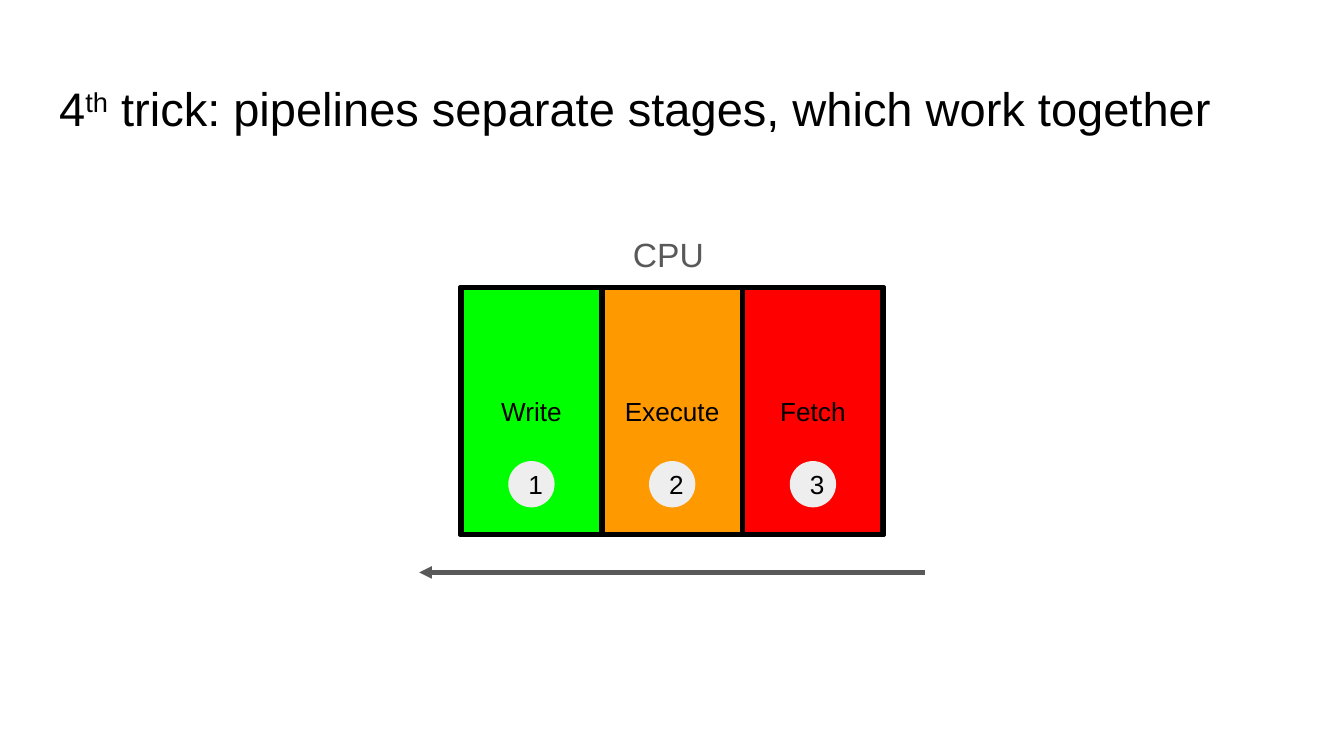
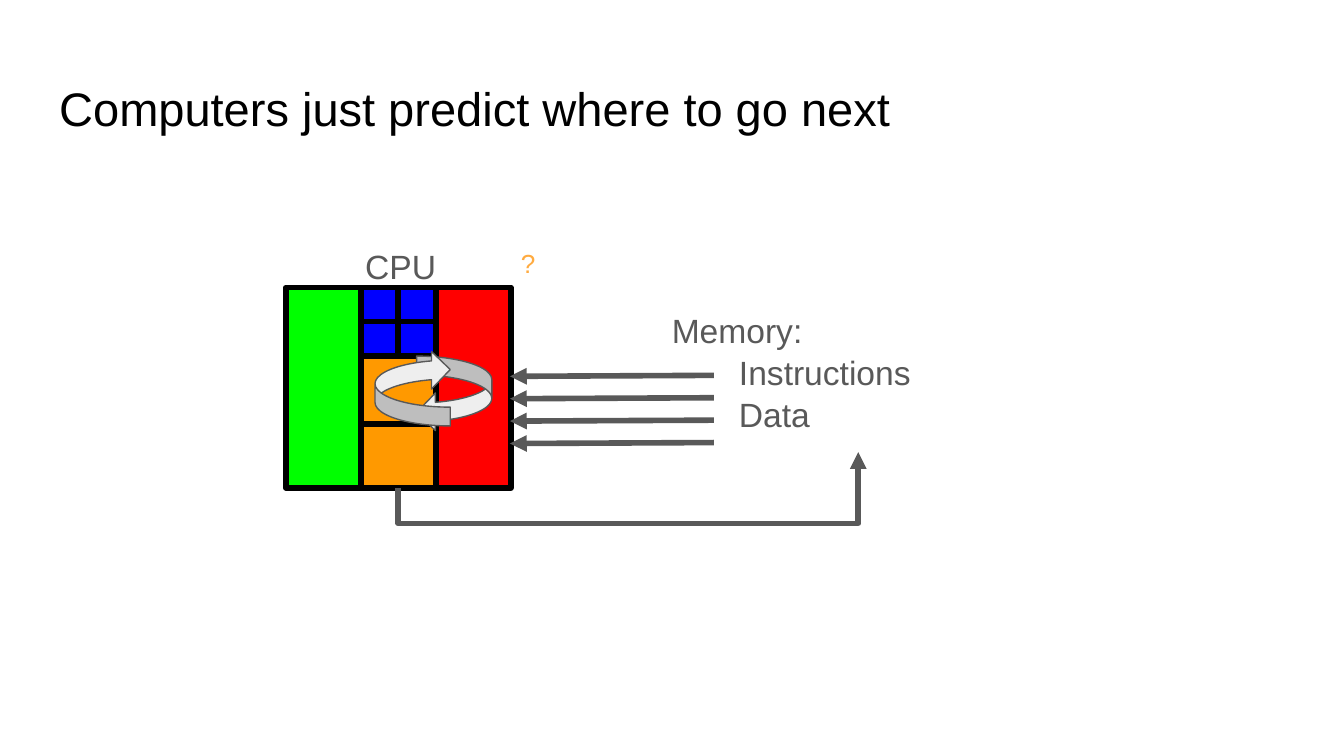
from lxml import etree
from pptx import Presentation
from pptx.dml.color import RGBColor
from pptx.enum.shapes import MSO_CONNECTOR, MSO_SHAPE
from pptx.enum.text import MSO_ANCHOR, MSO_AUTO_SIZE, PP_ALIGN
from pptx.oxml.ns import qn
from pptx.util import Pt

RECT, OVAL = MSO_SHAPE.RECTANGLE, MSO_SHAPE.OVAL
CURVED = MSO_SHAPE.CURVED_LEFT_ARROW
LINE, ELBOW = MSO_CONNECTOR.STRAIGHT, MSO_CONNECTOR.ELBOW
TOP, MIDDLE = MSO_ANCHOR.TOP, MSO_ANCHOR.MIDDLE
LEFT, CENTER = PP_ALIGN.LEFT, PP_ALIGN.CENTER
BOTTOM_SITE = 2

BLACK = RGBColor(0x00, 0x00, 0x00)
GRAY = RGBColor(0x59, 0x59, 0x59)
PALE = RGBColor(0xEE, 0xEE, 0xEE)
RED = RGBColor(0xFF, 0x00, 0x00)
ORANGE = RGBColor(0xFF, 0x99, 0x00)
GREEN = RGBColor(0x00, 0xFF, 0x00)
BLUE = RGBColor(0x00, 0x00, 0xFF)
AMBER = RGBColor(0xFF, 0xAB, 0x40)

FONT = "Arial"
TITLE_BOX = (24.5, 35.3, 671, 45.4)
INSET = Pt(7.2)
FRAME = {
    "word_wrap": True,
    "auto_size": MSO_AUTO_SIZE.NONE,
    "margin_left": INSET,
    "margin_right": INSET,
    "margin_top": INSET,
    "margin_bottom": INSET,
}


def apply(target, values):
    """Set each named attribute on the target."""
    for name, value in values.items():
        setattr(target, name, value)


def place(shape, left, top, width, height):
    """Move and size a shape, in points."""
    names = ("left", "top", "width", "height")
    apply(shape, dict(zip(names, map(Pt, (left, top, width, height)))))


def style(run, size, color):
    """Give a run its font, size and colour."""
    apply(run.font, {"name": FONT, "size": Pt(size), "bold": False})
    run.font.color.rgb = color


def write(shape, lines, size, color, anchor=TOP, align=LEFT, space=None):
    """Fill a shape with one paragraph per line, each a list of runs."""
    frame = shape.text_frame
    apply(frame, {**FRAME, "vertical_anchor": anchor})
    for i, parts in enumerate(lines):
        para = frame.add_paragraph() if i else frame.paragraphs[0]
        apply(para, {"alignment": align, "line_spacing": space})
        for part in parts:
            run = para.add_run()
            run.text = part
            style(run, size, color)
    return frame


def start(deck, parts):
    """Add a slide with its title and return both."""
    slide = deck.slides.add_slide(deck.slide_layouts[5])
    title = slide.shapes.title
    place(title, *TITLE_BOX)
    write(title, [parts], 25.2, BLACK)
    return slide, title


def draw(slide, kind, box, fill=None, line=BLACK, width=3):
    """Add a preset shape; None leaves its fill or line out."""
    shape = slide.shapes.add_shape(kind, *map(Pt, box))
    shape.shadow.inherit = False
    if fill is None:
        shape.fill.background()
    else:
        shape.fill.solid()
        shape.fill.fore_color.rgb = fill
    if line is None:
        shape.line.fill.background()
    else:
        shape.line.color.rgb = line
        shape.line.width = Pt(width)
    return shape


def label(slide, box, lines, size=18, color=GRAY, **kind):
    """Add a text box."""
    shape = slide.shapes.add_textbox(*map(Pt, box))
    write(shape, [[line] for line in lines], size, color, **kind)
    return shape


def link(slide, kind, ends, width, tip):
    """Add a gray connector with an arrowhead at the named end."""
    wire = slide.shapes.add_connector(kind, *map(Pt, ends))
    wire.line.color.rgb = GRAY
    wire.line.width = Pt(width)
    etree.SubElement(wire.line._get_or_add_ln(), qn(tip)).set("type", "triangle")
    etree.SubElement(wire._element.spPr, qn("a:effectLst"))
    return wire


def loop(slide, source, target, ends, drop):
    """Join two bottom sides with an elbow that dips by drop points."""
    x1, y1, x2, y2 = ends
    wire = link(slide, ELBOW, ends, 3, "a:tailEnd")
    wire.begin_connect(source, BOTTOM_SITE)
    wire.end_connect(target, BOTTOM_SITE)
    wide, high = y1 - y2, x2 - x1
    place(wire, (x1 + x2 - wide) / 2, (y1 + y2 - high) / 2, wide, high)
    props = wire._element.spPr
    form = props.find(qn("a:xfrm"))
    for name, value in {"rot": "16200000", "flipH": "0", "flipV": "0"}.items():
        form.set(name, value)
    geom = props.find(qn("a:prstGeom"))
    guides = geom.find(qn("a:avLst"))
    if guides is None:
        guides = etree.SubElement(geom, qn("a:avLst"))
    guide = etree.SubElement(guides, qn("a:gd"))
    guide.set("name", "adj1")
    guide.set("fmla", f"val {round(-drop / wide * 100000)}")


def outline(run, color, width):
    """Give the letters of a run a line."""
    props = run._r.get_or_add_rPr()
    edge = etree.Element(qn("a:ln"), w=str(Pt(width)))
    fill = etree.SubElement(edge, qn("a:solidFill"))
    etree.SubElement(fill, qn("a:srgbClr")).set("val", str(color))
    props.insert(0, edge)


def stages(deck):
    """Build the slide of the three pipeline stages."""
    parts = ["4", "th", " trick: pipelines separate stages, which work together"]
    slide, title = start(deck, parts)
    power = title.text_frame.paragraphs[0].runs[1]
    power._r.get_or_add_rPr().set("baseline", "30000")

    left, top, wide, high, dot = 247, 154, 75.4, 132.5, 24.8
    draw(slide, RECT, (left, top, 3 * wide, high))
    steps = [("Write", GREEN), ("Execute", ORANGE), ("Fetch", RED)]
    order = list(enumerate(steps))[::-1]
    for i, (name, color) in order:
        cell = draw(slide, RECT, (left + i * wide, top, wide, high), color)
        write(cell, [[name]], 14, BLACK, MIDDLE, CENTER)
    label(slide, (332, 118, 56.2, 35.3), ["CPU"])
    for i, _ in order:
        x = left + (i + 0.5) * wide - dot / 2
        disc = draw(slide, OVAL, (x, 247, dot, dot), PALE, None)
        write(disc, [[str(i + 1)]], 14, BLACK, MIDDLE)
    link(slide, LINE, (495.4, 306.7, 224.6, 306.7), 2.25, "a:tailEnd")


def predict(deck):
    """Build the slide of the CPU that guesses its next step."""
    slide, _ = start(deck, ["Computers just predict where to go next"])
    left, top, wide, high, unit = 153.1, 154, 40.2, 107.4, 36.6
    mid, right = left + wide, left + 2 * wide
    base = top + high
    draw(slide, RECT, (right, top, wide, high), RED)
    core = draw(slide, RECT, (mid, base - unit, wide, unit), ORANGE)
    draw(slide, RECT, (left, top, wide, high), GREEN)
    label(slide, (188.6, 124.6, 64.8, 28.8), ["CPU"])

    lines = ["Memory:", "\tInstructions", "\tData"]
    store = label(slide, (352.8, 158.2, 214, 84), lines, space=1.04)
    loop(slide, core, store, (mid + wide / 2, base, 459.8, 242.2), 19)
    for i in range(4):
        y = 201.6 + 12 * i
        link(slide, LINE, (273.2, y, 382.5, y - 0.5), 3, "a:headEnd")

    draw(slide, RECT, (mid, top + unit, wide, unit), ORANGE)
    draw(slide, RECT, (mid, top, wide, unit), BLUE)
    for i in range(4):
        row, col = divmod(i, 2)
        x, y = mid + col * wide / 2, top + row * unit / 2
        draw(slide, RECT, (x, y, wide / 2, unit / 2), BLUE)

    for x, y, turn in [(223.2, 190.8, 0), (200.9, 187.9, 180)]:
        arrow = draw(slide, CURVED, (x, y, 40.3, 40.3), PALE, GRAY, 0.75)
        arrow.rotation = turn

    doubt = label(slide, (264.2, 128.9, 37.4, 59), ["?"], 14, AMBER, align=CENTER)
    apply(doubt.text_frame, {"margin_top": Pt(3.6), "margin_bottom": Pt(3.6)})
    outline(doubt.text_frame.paragraphs[0].runs[0], GRAY, 2.25)


def main():
    """Build the deck and save it."""
    deck = Presentation()
    apply(deck, {"slide_width": Pt(720), "slide_height": Pt(405)})
    stages(deck)
    predict(deck)
    deck.save("out.pptx")


if __name__ == "__main__":
    main()
